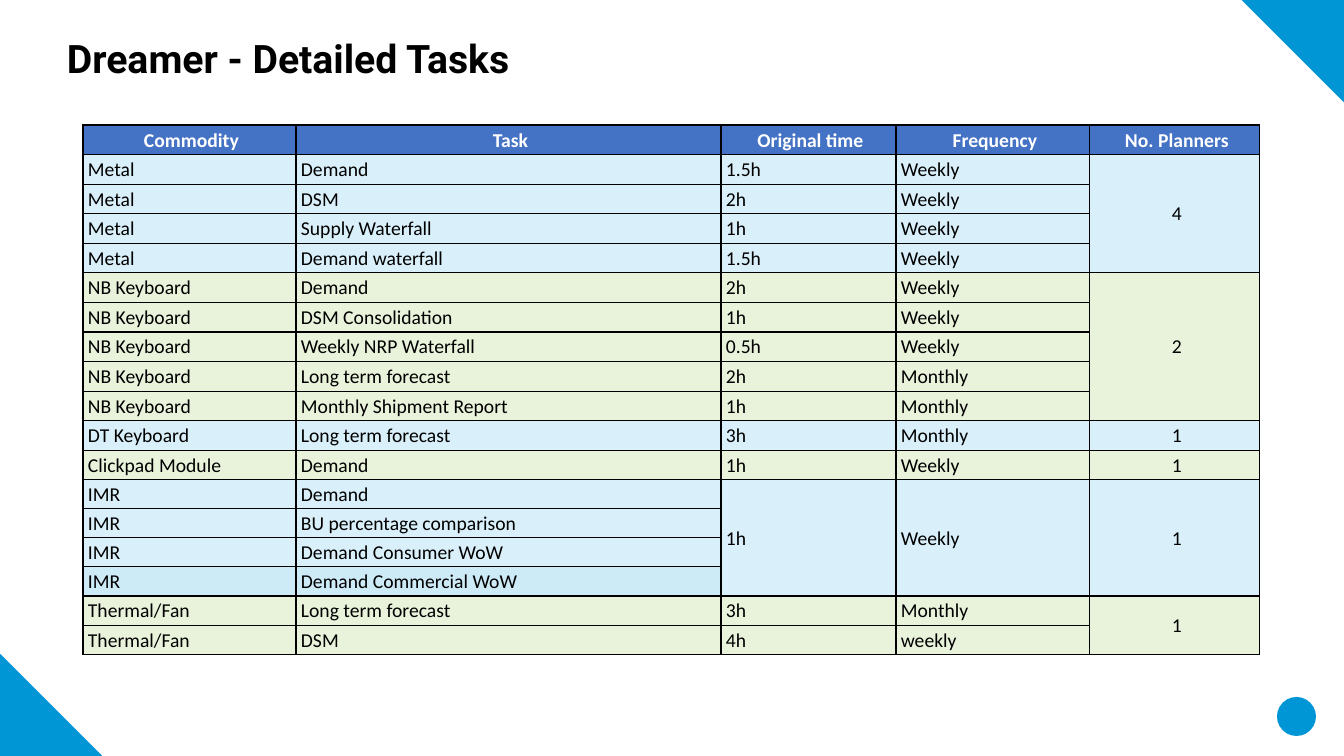
"""Builds the Dreamer detailed tasks slide."""
from lxml.etree import fromstring
from pptx import Presentation
from pptx.dml.color import RGBColor
from pptx.enum.shapes import MSO_SHAPE as Shape
from pptx.enum.text import MSO_ANCHOR as Anchor, PP_ALIGN as Align
from pptx.util import Pt

BLACK = RGBColor(0x00, 0x00, 0x00)
WHITE = RGBColor(0xFF, 0xFF, 0xFF)
BRAND_BLUE = RGBColor(0x00, 0x96, 0xD6)
HEADER_BLUE = RGBColor(0x44, 0x72, 0xC4)
SKY = RGBColor(0xD9, 0xEF, 0xF9)
DEEP_SKY = RGBColor(0xCD, 0xEA, 0xF7)
LEAF = RGBColor(0xE9, 0xF2, 0xDA)

TITLE = "Dreamer - Detailed Tasks"
HEADINGS = ["Commodity", "Task", "Original time", "Frequency", "No. Planners"]
COMMODITIES = [
    ("Metal", "4", [
        ("Demand", "1.5h", "Weekly"),
        ("DSM", "2h", "Weekly"),
        ("Supply Waterfall", "1h", "Weekly"),
        ("Demand waterfall", "1.5h", "Weekly"),
    ]),
    ("NB Keyboard", "2", [
        ("Demand", "2h", "Weekly"),
        ("DSM Consolidation", "1h", "Weekly"),
        ("Weekly NRP Waterfall", "0.5h", "Weekly"),
        ("Long term forecast", "2h", "Monthly"),
        ("Monthly Shipment Report", "1h", "Monthly"),
    ]),
    ("DT Keyboard", "1", [("Long term forecast", "3h", "Monthly")]),
    ("Clickpad Module", "1", [("Demand", "1h", "Weekly")]),
    ("IMR", "1", [
        ("Demand", "1h", "Weekly"),
        ("BU percentage comparison", None, None),
        ("Demand Consumer WoW", None, None),
        ("Demand Commercial WoW", None, None),
    ]),
    ("Thermal/Fan", "1", [
        ("Long term forecast", "3h", "Monthly"),
        ("DSM", "4h", "weekly"),
    ]),
]
HIGHLIGHTED_TASK = "Demand Commercial WoW"
COLUMN_WIDTHS = [213, 425, 175, 194, 170]
ROW_BANDS = [(12, 355), (3, 87), (3, 88)]

SLIDE_WIDTH, SLIDE_HEIGHT, CORNER = 1344, 756, 101
TABLE_LEFT, TABLE_TOP = 83, 125
NAMESPACE = "http://schemas.openxmlformats.org/drawingml/2006/main"


def px(length):
    return round(length * 914400 / 100.8)


def write(frame, text, font="Calibri", size=14, color=BLACK, bold=False,
          align=Align.LEFT, spacing=None):
    paragraph = frame.paragraphs[0]
    paragraph.alignment = align
    paragraph.line_spacing = spacing
    run = paragraph.add_run()
    run.text = text
    run.font.name = font
    run.font.size = Pt(size)
    run.font.bold = bold
    run.font.color.rgb = color


def add_blue_shape(slide, kind, left, top, side, rotation=0, outlined=True):
    shape = slide.shapes.add_shape(kind, px(left), px(top), px(side), px(side))
    shape.shadow.inherit = False
    shape.rotation = rotation
    shape.fill.solid()
    shape.fill.fore_color.rgb = BRAND_BLUE
    if outlined:
        shape.line.color.rgb = BRAND_BLUE
        shape.line.width = Pt(1.5)
    else:
        shape.line.fill.background()


def style_cell(cell, fill):
    cell.fill.solid()
    cell.fill.fore_color.rgb = fill
    cell.vertical_anchor = Anchor.MIDDLE
    cell.margin_left = px(5)
    cell.margin_right = cell.margin_top = px(1)
    cell.margin_bottom = 0
    properties = cell._tc.get_or_add_tcPr()
    for position, side in enumerate("LRTB"):
        properties.insert(position, fromstring(
            f'<a:ln{side} xmlns:a="{NAMESPACE}" w="{Pt(1)}"><a:solidFill>'
            f'<a:srgbClr val="{BLACK}"/></a:solidFill></a:ln{side}>'))


def table_rows():
    yield HEADER_BLUE, HEADINGS
    for index, (commodity, planners, tasks) in enumerate(COMMODITIES):
        for number, task in enumerate(tasks):
            fill = LEAF if index % 2 else SKY
            if task[0] == HIGHLIGHTED_TASK:
                fill = DEEP_SKY
            yield fill, [commodity, *task, None if number else planners]


def add_task_table(slide):
    rows = list(table_rows())
    heights = [px(band) // count for count, band in ROW_BANDS for _ in range(count)]
    table = slide.shapes.add_table(
        len(rows), len(HEADINGS), px(TABLE_LEFT), px(TABLE_TOP),
        px(sum(COLUMN_WIDTHS)), sum(heights)).table
    table.first_row = table.horz_banding = False
    for column, width in zip(table.columns, COLUMN_WIDTHS):
        column.width = px(width)
    for row, height in zip(table.rows, heights):
        row.height = height

    last_column = len(HEADINGS) - 1
    for r, (fill, values) in enumerate(rows):
        for c, value in enumerate(values):
            cell = table.cell(r, c)
            style_cell(cell, fill)
            if value is None:
                continue
            header = r == 0
            write(cell.text_frame, value, bold=header,
                  color=WHITE if header else BLACK,
                  align=Align.CENTER if header or c == last_column else Align.LEFT)
            end = r
            while end + 1 < len(rows) and rows[end + 1][1][c] is None:
                end += 1
            if end > r:
                cell.merge(table.cell(end, c))


def main():
    deck = Presentation()
    deck.slide_width, deck.slide_height = px(SLIDE_WIDTH), px(SLIDE_HEIGHT)
    slide = deck.slides.add_slide(deck.slide_layouts[6])

    add_blue_shape(slide, Shape.OVAL, 1277, 697, 39, outlined=False)

    title = slide.shapes.add_textbox(px(67), px(-2), px(1210), px(84)).text_frame
    title.word_wrap = True
    title.vertical_anchor = Anchor.BOTTOM
    title.margin_left = title.margin_right = title.margin_top = title.margin_bottom = 0
    write(title, TITLE, font="Roboto", size=28, bold=True, spacing=0.9)

    add_task_table(slide)
    add_blue_shape(slide, Shape.RIGHT_TRIANGLE, SLIDE_WIDTH - CORNER, 0, CORNER, rotation=180)
    add_blue_shape(slide, Shape.RIGHT_TRIANGLE, 0, SLIDE_HEIGHT - CORNER, CORNER)
    deck.save("out.pptx")


if __name__ == "__main__":
    main()
